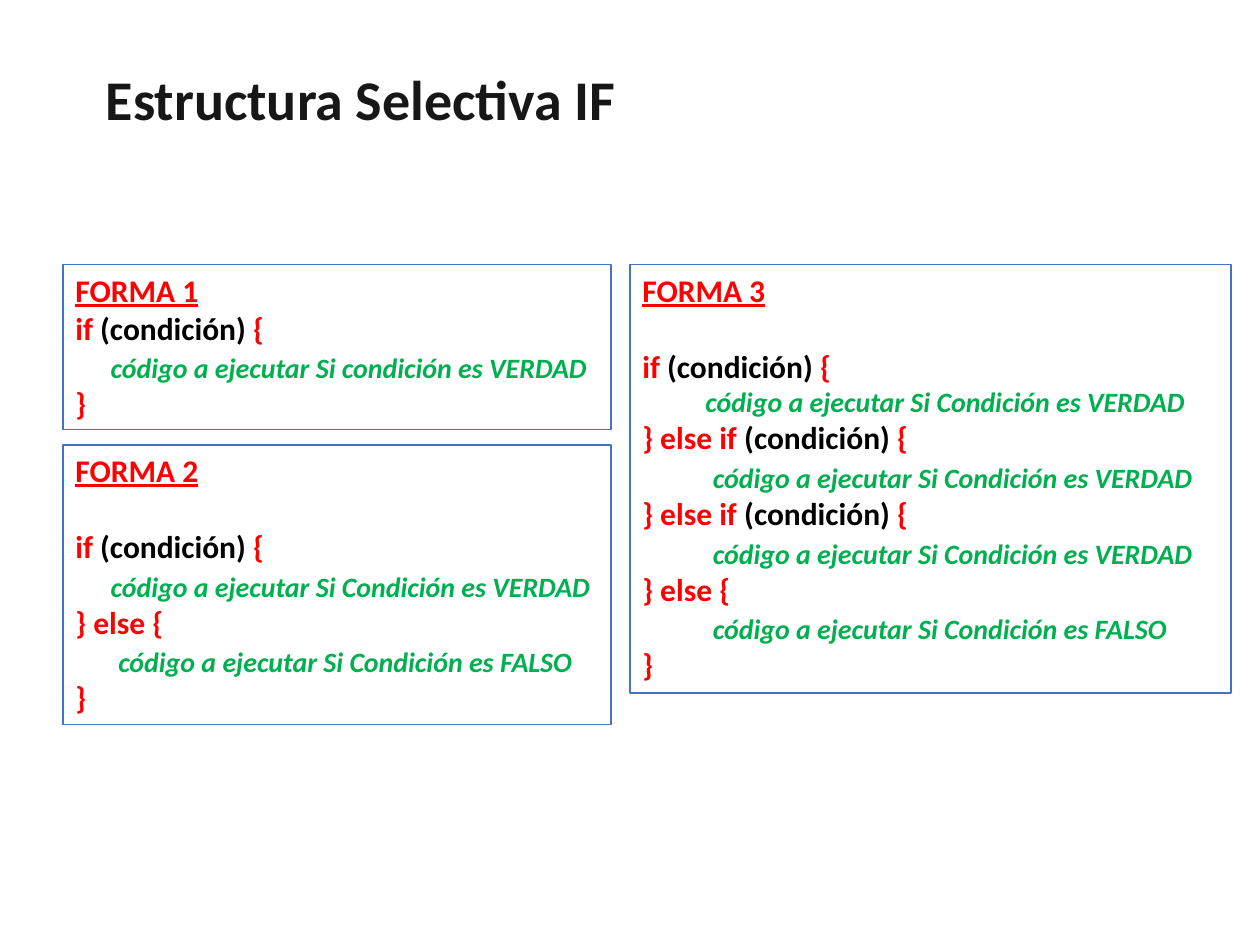
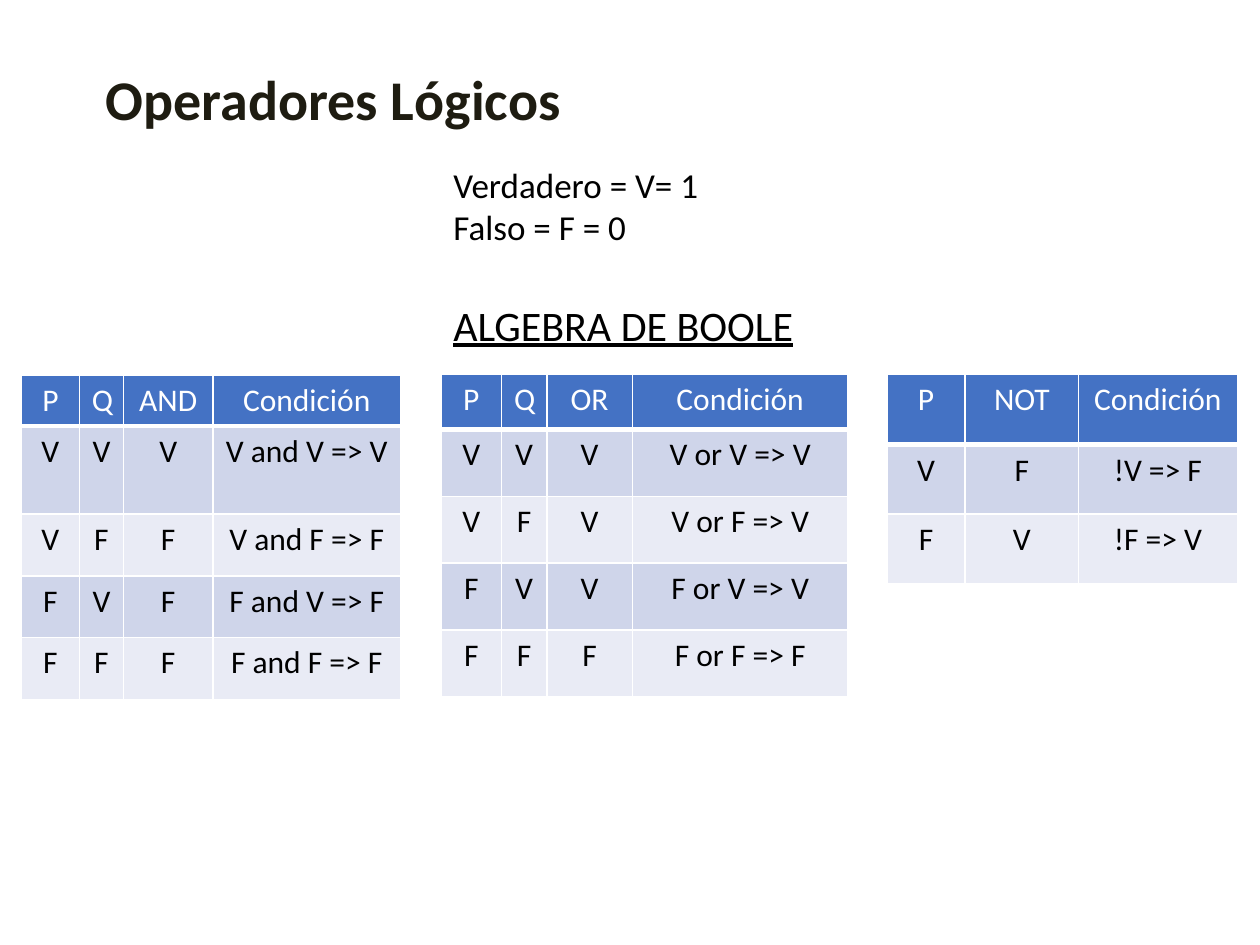
from dataclasses import dataclass
from itertools import product

from lxml import etree
from pptx import Presentation
from pptx import util as u
from pptx.dml import color as dml
from pptx.enum import shapes, text

FONT = "Calibri"
HUES = {
    "ink": "181717",
    "umber": "1E1C11",
    "black": "000000",
    "white": "FFFFFF",
    "red": "FF0000",
    "green": "00B050",
    "blue": "4472C4",
    "dark": "CFD5EA",
    "pale": "E9EBF5",
}
TEST = "(condición)"
TRUE = "código a ejecutar Si Condición es VERDAD"
FALSE = "código a ejecutar Si Condición es FALSO"
LEAD = 2.4


@dataclass
class Code:
    words: str
    indent: float
    lead: float = LEAD


@dataclass
class Form:
    name: str
    left: float
    top: float
    width: float
    height: float
    gap: float
    lines: list[str | Code]


@dataclass
class Grid:
    left: float
    top: float
    cols: list[float]
    rows: list[float]
    cells: list[tuple[str, ...]]


FORMS = [
    Form("FORMA 1", 0.5, 2.1, 4.35, 1.31, 0, [
        f"if {TEST} {{",
        Code("código a ejecutar Si condición es VERDAD", 0.28),
        "}",
    ]),
    Form("FORMA 2", 0.5, 3.53, 4.35, 2.22, 22, [
        f"if {TEST} {{",
        Code(TRUE, 0.28),
        "} else {",
        Code(FALSE, 0.34),
        "}",
    ]),
    Form("FORMA 3", 5, 2.1, 4.77, 3.4, 22, [
        f"if {TEST} {{",
        Code(TRUE, 0.5, 0),
        f"}} else if {TEST} {{",
        Code(TRUE, 0.56),
        f"}} else if {TEST} {{",
        Code(TRUE, 0.56),
        "} else {",
        Code(FALSE, 0.56),
        "}",
    ]),
]


def tint(name: str) -> dml.RGBColor:
    return dml.RGBColor.from_string(HUES[name])


def put(par, words: str, *, size: float = 18, hue: str = "black",
        bold: bool = False, slant: bool = False, under: bool = False) -> None:
    run = par.add_run()
    run.text = words
    font = run.font
    font.name, font.size = FONT, u.Pt(size)
    font.bold, font.italic, font.underline = bold, slant, under
    font.color.rgb = tint(hue)


def place(shape, left: float, top: float, width: float, height: float) -> None:
    shape.left, shape.top = u.Inches(left), u.Inches(top)
    shape.width, shape.height = u.Inches(width), u.Inches(height)


def start(deck, title: str, width: float, hue: str):
    slide = deck.slides.add_slide(deck.slide_layouts[5])
    head = slide.shapes.title
    place(head, 0.74, 0.46, width, 0.64)
    frame = head.text_frame
    frame.word_wrap = False
    frame.auto_size = text.MSO_AUTO_SIZE.NONE
    frame.vertical_anchor = text.MSO_ANCHOR.TOP
    par = frame.paragraphs[0]
    par.alignment = text.PP_ALIGN.LEFT
    put(par, title, size=32, hue=hue, bold=True)
    return slide


def draw_form(slide, form: Form) -> None:
    box = slide.shapes.add_shape(shapes.MSO_SHAPE.RECTANGLE, 0, 0, 0, 0)
    place(box, form.left, form.top, form.width, form.height)
    box.shadow.inherit = False
    box.fill.solid()
    box.fill.fore_color.rgb = tint("white")
    box.line.color.rgb = tint("blue")
    box.line.width = u.Pt(1)
    frame = box.text_frame
    frame.word_wrap = True
    frame.vertical_anchor = text.MSO_ANCHOR.TOP
    head = frame.paragraphs[0]
    head.alignment = text.PP_ALIGN.LEFT
    head.space_after = u.Pt(form.gap)
    put(head, form.name, hue="red", bold=True, under=True)
    for line in form.lines:
        par = frame.add_paragraph()
        par.alignment = text.PP_ALIGN.LEFT
        if isinstance(line, Code):
            par._p.get_or_add_pPr().set("marL", str(u.Inches(line.indent)))
            par.space_before = u.Pt(line.lead)
            put(par, line.words, size=16, hue="green", bold=True, slant=True)
            continue
        for part, hue in zip(line.partition(TEST), ("red", "black", "red")):
            if part:
                put(par, part, hue=hue, bold=True)


def edge(cell, side: str, width: float) -> None:
    space = "{http://schemas.openxmlformats.org/drawingml/2006/main}"
    line = etree.SubElement(cell._tc.get_or_add_tcPr(), f"{space}ln{side}",
                            w=str(u.Pt(width)))
    fill = etree.SubElement(line, f"{space}solidFill")
    etree.SubElement(fill, f"{space}srgbClr", val=HUES["white"])


def draw_grid(slide, grid: Grid) -> None:
    frame = slide.shapes.add_table(
        len(grid.rows), len(grid.cols), u.Inches(grid.left), u.Inches(grid.top),
        u.Inches(sum(grid.cols)), u.Inches(sum(grid.rows)))
    table = frame.table
    for col, width in zip(table.columns, grid.cols):
        col.width = u.Inches(width)
    for row, height in zip(table.rows, grid.rows):
        row.height = u.Inches(height)
    for r, line in enumerate(grid.cells):
        band = "blue" if r == 0 else "dark" if r % 2 else "pale"
        for c, words in enumerate(line):
            cell = table.cell(r, c)
            for side in "LRTB":
                edge(cell, side, 3 if r == 0 and side == "B" else 1)
            cell.fill.solid()
            cell.fill.fore_color.rgb = tint(band)
            par = cell.text_frame.paragraphs[0]
            par.alignment = text.PP_ALIGN.CENTER
            put(par, words, hue="black" if r else "white")


def truth(word: str) -> list[tuple[str, ...]]:
    rows = [("P", "Q", word.upper(), "Condición")]
    for p, q in product("VF", repeat=2):
        both = (p, q)
        end = min(both) if word == "and" else max(both)
        rows.append((p, q, end, f"{p} {word} {q} => {end}"))
    return rows


def draw_notes(slide) -> None:
    box = slide.shapes.add_textbox(0, 0, 0, 0)
    place(box, 3.5, 1.25, 4.08, 1.58)
    frame = box.text_frame
    frame.word_wrap = True
    lines = [("Verdadero = V= 1", 20, 0), ("Falso = F = 0", 20, 0),
             ("ALGEBRA DE BOOLE", 24, 29.3)]
    for i, (words, size, gap) in enumerate(lines):
        par = frame.add_paragraph() if i else frame.paragraphs[0]
        par.alignment = text.PP_ALIGN.JUSTIFY
        par.space_before = u.Pt(gap)
        put(par, words, size=size, under=size == 24)


def main() -> None:
    deck = Presentation()
    deck.slide_width, deck.slide_height = u.Inches(10), u.Inches(7.5)

    slide = start(deck, "Estructura Selectiva IF", 4.29, "ink")
    for form in FORMS:
        draw_form(slide, form)

    slide = start(deck, "Operadores Lógicos", 3.85, "umber")
    draw_notes(slide)
    flips = [("P", "NOT", "Condición")]
    flips += [(p, q, f"!{p} => {q}") for p, q in ("VF", "FV")]
    for grid in (
        Grid(0.17, 2.98, [0.46, 0.35, 0.71, 1.49], [0.4, 0.7] + [0.49] * 3,
             truth("and")),
        Grid(7.04, 2.97, [0.62, 0.9, 1.26], [0.56, 0.55, 0.55], flips),
        Grid(3.5, 2.97, [0.48, 0.36, 0.68, 1.71], [0.44] + [0.53] * 4,
             truth("or")),
    ):
        draw_grid(slide, grid)

    deck.save("out.pptx")


if __name__ == "__main__":
    main()
